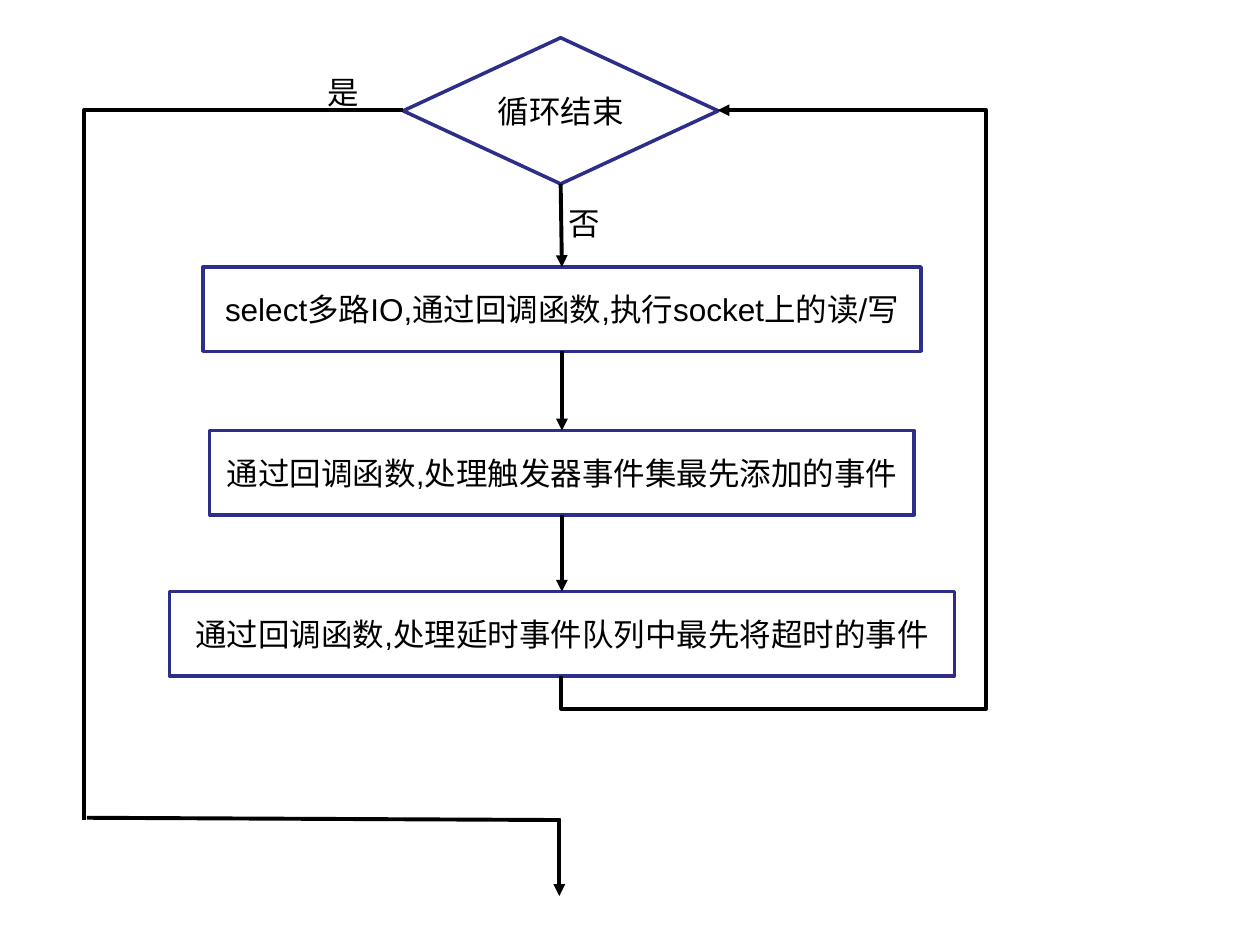
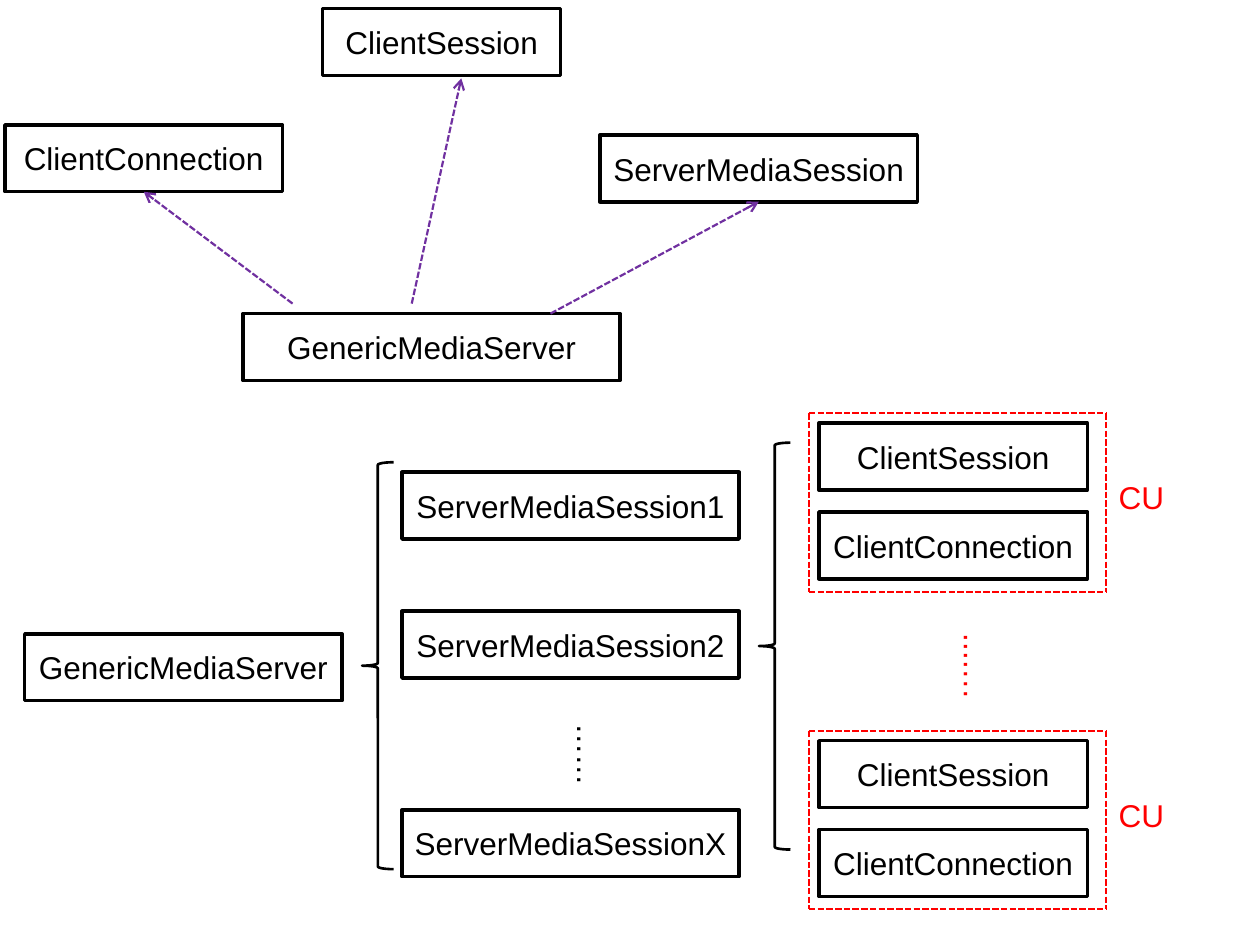
from lxml import etree
from pptx import Presentation
from pptx.dml.color import RGBColor
from pptx.enum.dml import MSO_LINE
from pptx.enum.shapes import MSO_CONNECTOR as LINK, MSO_SHAPE as SHAPE
from pptx.enum.text import MSO_ANCHOR, MSO_AUTO_SIZE, PP_ALIGN
from pptx.oxml.ns import qn
from pptx.util import Pt

BLACK = RGBColor(0x00, 0x00, 0x00)
WHITE = RGBColor(0xFF, 0xFF, 0xFF)
NAVY = RGBColor(0x2D, 0x2D, 0x8A)
PURPLE = RGBColor(0x70, 0x30, 0xA0)
RED = RGBColor(0xFF, 0x00, 0x00)


def write(tf, text, color=BLACK, size=18, font="Arial", align=PP_ALIGN.LEFT):
    p = tf.paragraphs[0]
    p.alignment = align
    r = p.add_run()
    r.text = text
    r.font.size = Pt(size)
    r.font.name = font
    r.font.color.rgb = color


class Diagram:
    def __init__(self, prs):
        self.prs = prs
        self.s = None

    def new_slide(self):
        self.s = self.prs.slides.add_slide(self.prs.slide_layouts[6])

    def shape(self, kind, x, y, w, h, line=BLACK, weight=2, fill=None):
        sp = self.s.shapes.add_shape(kind, Pt(x), Pt(y), Pt(w), Pt(h))
        sp.shadow.inherit = False
        if fill is None:
            sp.fill.background()
        else:
            sp.fill.solid()
            sp.fill.fore_color.rgb = fill
        sp.line.color.rgb = line
        sp.line.width = Pt(weight)
        return sp

    def box(self, text, x, y, w, h=38.2, kind=SHAPE.RECTANGLE, **style):
        tf = self.shape(kind, x, y, w, h, **style).text_frame
        tf.word_wrap = True
        tf.vertical_anchor = MSO_ANCHOR.MIDDLE
        write(tf, text, align=PP_ALIGN.CENTER)

    def brace(self, x, y, w=18, h=232.5):
        self.shape(SHAPE.LEFT_BRACE, x, y, w, h, weight=1.5)

    def label(self, text, x, y, w, h, color=BLACK, vertical=False):
        tf = self.s.shapes.add_textbox(Pt(x), Pt(y), Pt(w), Pt(h)).text_frame
        tf.word_wrap = False
        tf.auto_size = MSO_AUTO_SIZE.SHAPE_TO_FIT_TEXT
        if vertical:
            tf._txBody.bodyPr.set("vert", "eaVert")
            tf.margin_left = tf.margin_right = Pt(3.6)
            tf.margin_top = tf.margin_bottom = Pt(7.2)
        write(tf, text, color)

    def line(self, x1, y1, x2, y2, color=BLACK, weight=2.25, dash=None,
             head=None, kind=LINK.STRAIGHT):
        c = self.s.shapes.add_connector(kind, Pt(x1), Pt(y1), Pt(x2), Pt(y2))
        c.line.color.rgb = color
        c.line.width = Pt(weight)
        if dash:
            c.line.dash_style = dash
        if head:
            etree.SubElement(c.line._get_or_add_ln(), qn("a:tailEnd"), type=head)
        etree.SubElement(c._element.spPr, qn("a:effectLst"))
        return c

    def elbow(self, preset, x, y, w, h, turn=0, flips=(), adjust=(), head=None):
        c = self.line(x, y, x + w, y + h, head=head, kind=LINK.ELBOW)
        spPr = c._element.spPr
        xfrm = spPr.find(qn("a:xfrm"))
        xfrm.set("rot", str(turn * 60000))
        for flip in flips:
            xfrm.set(flip, "1")
        geom = spPr.find(qn("a:prstGeom"))
        geom.set("prst", preset)
        guides = geom.find(qn("a:avLst"))
        for i, value in enumerate(adjust, 1):
            etree.SubElement(guides, qn("a:gd"), name=f"adj{i}", fmla=f"val {value}")

    def dashed(self, *ends, color, head=None):
        self.line(*ends, color=color, weight=1.25, dash=MSO_LINE.SQUARE_DOT, head=head)


def event_loop(d):
    d.new_slide()
    outline = dict(line=NAVY, fill=WHITE)
    center, step_h = 321.1, 48.2
    d.box("循环结束", 230.4, 21.6, 180, 83.5, kind=SHAPE.FLOWCHART_DECISION, **outline)
    steps = [
        ("select多路IO,通过回调函数,执行socket上的读/写", 152.6, 410.4),
        ("通过回调函数,处理触发器事件集最先添加的事件", 246, 402.6),
        ("通过回调函数,处理延时事件队列中最先将超时的事件", 338.1, 448.6),
    ]
    start_x, start_y = 320.4, 105.1
    for text, top, w in steps:
        d.box(text, center - w / 2, top, w, step_h, kind=SHAPE.FLOWCHART_PROCESS, **outline)
        d.line(start_x, start_y, center, top, head="triangle")
        start_x, start_y = center, top + step_h
    d.elbow("bentConnector2", 48, 62.9, 182.2, 405.5, turn=180, flips=["flipV"])
    d.line(49.7, 467.3, 320.4, 468.6)
    d.line(319.6, 468, 319.6, 512, head="triangle")
    d.elbow("bentConnector4", 203.8, 180, 323.3, 89.3, turn=90,
            flips=["flipH", "flipV"], adjust=[-5800, 271900], head="triangle")
    d.label("否", 317.6, 113, 32.4, 28.8)
    d.label("是", 180, 38.2, 32.4, 28.8)


def client_unit(d, top):
    left, right, bottom = 462.2, 632.2, top + 102
    d.box("ClientSession", 468, top + 5.7, 153.4)
    d.box("ClientConnection", 468, top + 56.5, 153.4)
    for x in (left, right):
        d.dashed(x, top, x, bottom, color=RED)
    for y in (top, bottom):
        d.dashed(left, y, right, y, color=RED)
    d.label("CU", right, top + 33.8, 40.3, 28.8, color=RED)


def media_server(d):
    d.new_slide()
    d.box("GenericMediaServer", 138.9, 179.2, 215.5)
    d.box("ClientConnection", 2.9, 71.4, 158.5)
    d.box("ClientSession", 184.3, 5, 136.1)
    d.box("ServerMediaSession", 342.8, 77.2, 181.4)
    for ends in [(167.2, 173.5, 82.2, 109.6), (235.3, 173.5, 263.6, 44.8),
                 (314.6, 179.2, 433.6, 115.3)]:
        d.dashed(*ends, color=PURPLE, head="arrow")

    d.box("GenericMediaServer", 14.1, 362.2, 181.4)
    d.brace(206.9, 264.2)
    for suffix, top in (("1", 269.9), ("2", 349.3), ("X", 462.8)):
        d.box("ServerMediaSession" + suffix, 229.7, top, 192.7)
    d.label("……", 315.4, 406, 36, 43.2, vertical=True)
    d.brace(433.7, 253)
    for top in (236.1, 417.6):
        client_unit(d, top)
    d.label("....…", 536.4, 355, 36, 45.4, color=RED, vertical=True)


def main():
    prs = Presentation()
    prs.slide_width, prs.slide_height = Pt(720), Pt(540)
    d = Diagram(prs)
    event_loop(d)
    media_server(d)
    prs.save("out.pptx")


if __name__ == "__main__":
    main()
